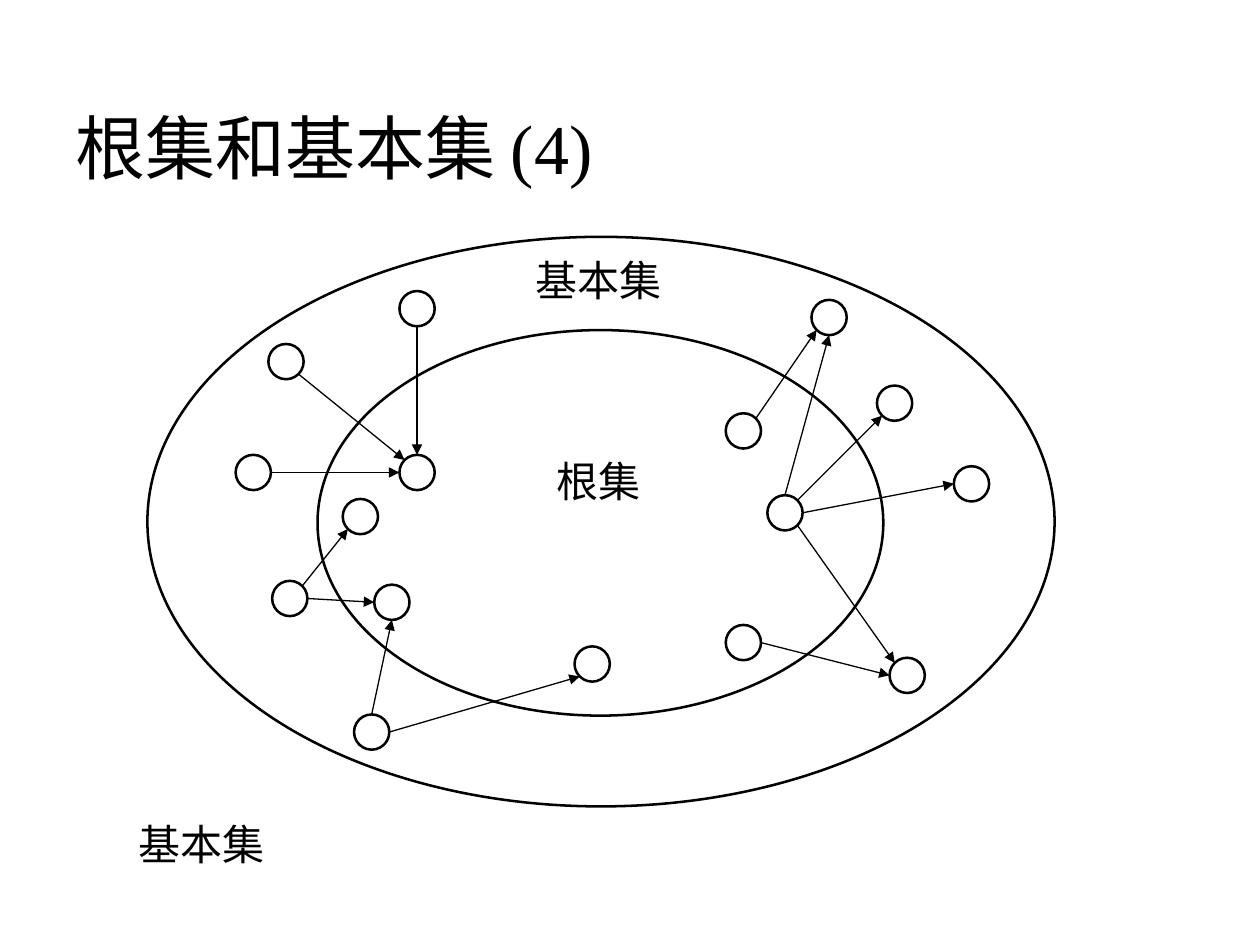
"""Build the slide that shows links between a root set and its base set."""
from dataclasses import dataclass
from math import cos, radians, sin

from lxml import etree
from pptx import Presentation
from pptx import util as u
from pptx.dml.color import RGBColor
from pptx.enum import shapes, text
from pptx.oxml.ns import qn

BLACK = RGBColor(0x00, 0x00, 0x00)
WIDTH, HEIGHT = u.Inches(10), u.Inches(7.5)
COLUMNS, ROWS = 100, 75
NODE_SIZE = 2.8
SITES = {
    "right": 0, "lower right": 45, "bottom": 90, "lower left": 135,
    "left": 180, "upper left": 225, "top": 270, "upper right": 315,
}


@dataclass(frozen=True)
class Oval:
    """An ellipse in grid columns and rows."""
    column: float
    row: float
    columns: float = NODE_SIZE
    rows: float = NODE_SIZE

    def site(self, name: str) -> tuple[float, float]:
        """Return the grid point on the rim at a named site."""
        angle = radians(SITES[name])
        return (self.column + self.columns / 2 * (1 + cos(angle)),
                self.row + self.rows / 2 * (1 + sin(angle)))


@dataclass(frozen=True)
class Link:
    """An arrow from one page's rim to another's."""
    source: str
    source_site: str
    target: str
    target_site: str


@dataclass(frozen=True)
class Label:
    """A caption in grid columns and rows."""
    wording: str
    column: float
    row: float
    columns: float
    rows: float = 5


SETS = [Oval(25.2, 26.2, 44.9, 30.6), Oval(11.7, 18.8, 72, 45.2)]

PAGES = {
    "north in": Oval(31.7, 23.1),
    "northwest in": Oval(21.3, 27.3),
    "west in": Oval(18.7, 36.1),
    "left hub": Oval(31.7, 36.1),
    "southwest in": Oval(21.6, 46.1),
    "left root": Oval(27.2, 39.6),
    "lower left root": Oval(29.7, 46.4),
    "south in": Oval(28.1, 56.7),
    "bottom root": Oval(45.6, 51.3),
    "upper right root": Oval(57.6, 32.8),
    "north out": Oval(64.4, 23.8),
    "northeast out": Oval(69.6, 30.6),
    "right hub": Oval(60.9, 39.3),
    "east out": Oval(75.7, 37),
    "lower right root": Oval(57.6, 49.6),
    "southeast out": Oval(70.6, 52.2),
}

LINKS = [
    Link("northwest in", "lower right", "left hub", "upper left"),
    Link("west in", "right", "left hub", "left"),
    Link("north in", "bottom", "left hub", "top"),
    Link("southwest in", "upper right", "left root", "lower left"),
    Link("southwest in", "right", "lower left root", "left"),
    Link("south in", "top", "lower left root", "bottom"),
    Link("south in", "right", "bottom root", "lower left"),
    Link("upper right root", "upper right", "north out", "lower left"),
    Link("right hub", "top", "north out", "bottom"),
    Link("right hub", "upper right", "northeast out", "lower left"),
    Link("right hub", "right", "east out", "left"),
    Link("right hub", "lower right", "southeast out", "upper left"),
    Link("lower right root", "right", "southeast out", "left"),
]

LABELS = [
    Label("基本集", 10, 64.5, 21.3),
    Label("根集", 43.2, 35.7, 13.1),
    Label("基本集", 41.5, 19.7, 14.6),
]


def across(columns: float) -> u.Emu:
    """Convert grid columns to a length."""
    return u.Emu(round(WIDTH * columns / COLUMNS))


def down(rows: float) -> u.Emu:
    """Convert grid rows to a length."""
    return u.Emu(round(HEIGHT * rows / ROWS))


def format_paragraph(paragraph, font_name: str, size: int) -> None:
    """Set a left-aligned paragraph in black."""
    paragraph.alignment = text.PP_ALIGN.LEFT
    paragraph.font.name = font_name
    paragraph.font.size = u.Pt(size)
    paragraph.font.color.rgb = BLACK


def set_title(slide, wording: str) -> None:
    """Place and format the title placeholder."""
    title = slide.shapes.title
    title.left, title.top = across(5), down(1.1)
    title.width, title.height = across(90), down(14.4)
    title.text_frame.text = wording
    title.text_frame.vertical_anchor = text.MSO_ANCHOR.BOTTOM
    format_paragraph(title.text_frame.paragraphs[0], "Times New Roman", 40)


def draw_oval(slide, oval: Oval) -> None:
    """Draw an unfilled ellipse."""
    shape = slide.shapes.add_shape(
        shapes.MSO_SHAPE.OVAL, across(oval.column), down(oval.row),
        across(oval.columns), down(oval.rows))
    shape.shadow.inherit = False
    shape.fill.background()
    shape.line.color.rgb = BLACK
    shape.line.width = u.Pt(1.45)


def draw_link(slide, link: Link) -> None:
    """Draw an arrow between two pages."""
    start = PAGES[link.source].site(link.source_site)
    end = PAGES[link.target].site(link.target_site)
    connector = slide.shapes.add_connector(
        shapes.MSO_CONNECTOR.STRAIGHT, across(start[0]), down(start[1]),
        across(end[0]), down(end[1]))
    connector.line.color.rgb = BLACK
    connector.line.width = u.Pt(0.75)
    properties = connector._element.spPr
    etree.SubElement(properties.find(qn("a:ln")), qn("a:tailEnd"), type="triangle")
    etree.SubElement(properties, qn("a:effectLst"))


def draw_label(slide, label: Label) -> None:
    """Write a caption."""
    box = slide.shapes.add_textbox(across(label.column), down(label.row),
                                   across(label.columns), down(label.rows))
    box.text_frame.word_wrap = True
    box.text_frame.text = label.wording
    format_paragraph(box.text_frame.paragraphs[0], "Calibri", 24)


def main() -> None:
    """Build and save the presentation."""
    presentation = Presentation()
    presentation.slide_width, presentation.slide_height = WIDTH, HEIGHT
    slide = presentation.slides.add_slide(presentation.slide_layouts[5])
    set_title(slide, "根集和基本集 (4)")
    root_set, base_set = SETS
    for oval in (root_set, *PAGES.values(), base_set):
        draw_oval(slide, oval)
    for link in LINKS:
        draw_link(slide, link)
    for label in LABELS:
        draw_label(slide, label)
    presentation.save("out.pptx")


if __name__ == "__main__":
    main()
